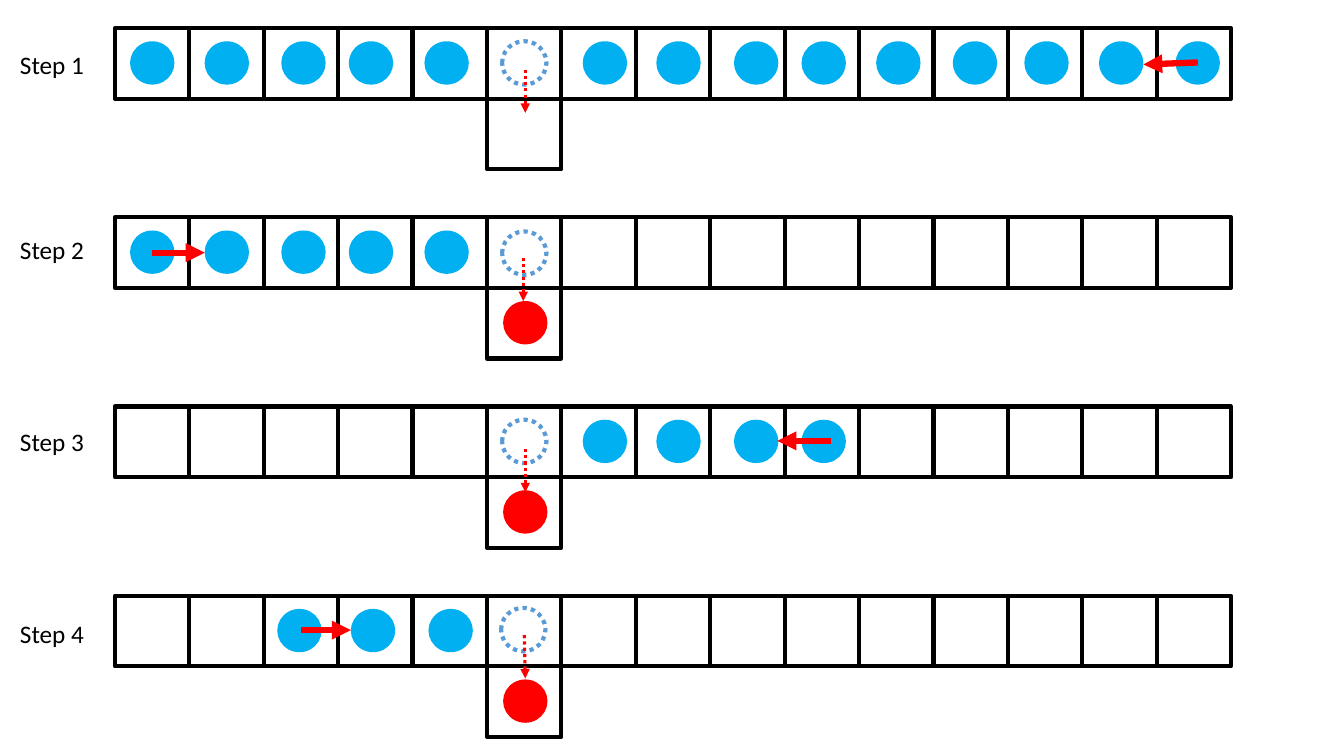
from pptx import Presentation
from pptx.dml.color import RGBColor as Rgb
from pptx.enum.dml import MSO_LINE
from pptx.enum.shapes import MSO_CONNECTOR as Con, MSO_SHAPE as Kind
from pptx.enum.text import MSO_AUTO_SIZE as Fit
from pptx.oxml.ns import qn
from pptx.util import Inches, Pt
from lxml.etree import SubElement as Sub

HUE = {"black": "000000", "ball": "00B0F0", "red": "FF0000", "ring": "5B9BD5"}
LEFT, TOP, PITCH = 1.14, 0.28, 1.877
CELL, TALL, COUNT, EXIT = 0.738, 0.7, 15, 5
WIDE, HIGH = 0.44, 0.43
BOXES = [1, 2, 4, 5, 7, 8, 10, 11, 13]
SPOTS = [1.29, 2.03, 2.79, 3.46, 4.21, 4.98, 5.78, 6.51,
         7.28, 7.95, 8.69, 9.45, 10.16, 10.9, 11.66]

STEPS = [
    {"name": "Step 1", "balls": SPOTS[:5] + SPOTS[6:], "out": False,
     "push": (11.88, 0.34, 11.34, 0.36), "drop": (5.21, 0.41, 5.21), "ring": (4.98, 0.13), "text": 0.16},
    {"name": "Step 2", "balls": SPOTS[:5], "out": True,
     "push": (1.51, 0.35, 2.03, 0.35), "drop": (5.19, 0.4, 5.19), "ring": (4.98, 0.14), "text": 0.12},
    {"name": "Step 3", "balls": SPOTS[6:10], "out": True,
     "push": (8.24, 0.34, 7.71, 0.34), "drop": (5.21, 0.42, 5.21), "ring": (4.98, 0.13), "text": 0.15},
    {"name": "Step 4", "balls": [2.75, 3.48, 4.25], "out": True,
     "push": (2.99, 0.34, 3.48, 0.34), "drop": (5.2, 0.39, 5.21), "ring": (4.97, 0.12), "text": 0.17},
]

deck = Presentation()
deck.slide_width, deck.slide_height = Inches(13.33), Inches(7.5)
shapes = deck.slides.add_slide(deck.slide_layouts[6]).shapes


def stroke(line, hue, size, dots=False):
    line.color.rgb = Rgb.from_string(HUE[hue])
    line.width = Pt(size)
    if dots:
        line.dash_style = MSO_LINE.ROUND_DOT


def draw(kind, x, y, w, h, fill=None, line=None, dots=False):
    part = shapes.add_shape(kind, *map(Inches, (x, y, w, h)))
    part.shadow.inherit = False
    if fill:
        part.fill.solid()
        part.fill.fore_color.rgb = Rgb.from_string(HUE[fill])
    else:
        part.fill.background()
    if line:
        stroke(part.line, line, 3, dots)
    else:
        part.line.fill.background()


def arrow(x1, y1, x2, y2, size, dots=False):
    link = shapes.add_connector(Con.STRAIGHT, *map(Inches, (x1, y1, x2, y2)))
    stroke(link.line, "red", size, dots)
    Sub(link.line._get_or_add_ln(), qn("a:tailEnd"), type="triangle")
    Sub(link._element.spPr, qn("a:effectLst"))


def label(text, x, y):
    box = shapes.add_textbox(*map(Inches, (x, y, 0.84, 0.4)))
    frame = box.text_frame
    frame.word_wrap = False
    frame.auto_size = Fit.SHAPE_TO_FIT_TEXT
    para = frame.paragraphs[0]
    para.text = text
    para.font.name, para.font.size = "Calibri", Pt(18)
    para.font.color.rgb = Rgb.from_string(HUE["black"])


for row, step in enumerate(STEPS):
    top = TOP + row * PITCH
    draw(Kind.RECTANGLE, LEFT, top, COUNT * CELL, TALL, line="black")
    for col in BOXES:
        draw(Kind.RECTANGLE, LEFT + col * CELL, top, CELL, TALL, line="black")
    draw(Kind.RECTANGLE, LEFT + EXIT * CELL, top + TALL, CELL, TALL, line="black")
    for x in step["balls"]:
        draw(Kind.OVAL, x, top + 0.13, WIDE, HIGH, fill="ball")
    if step["out"]:
        draw(Kind.OVAL, 4.99, top + TALL + 0.13, WIDE, HIGH, fill="red")
    x1, y1, x2, y2 = step["push"]
    arrow(x1, top + y1, x2, top + y2, 4.5)
    label(step["name"], 0.1, top + step["text"])
    x, y = step["ring"]
    draw(Kind.OVAL, x, top + y, WIDE, HIGH, line="ring", dots=True)
    x1, y, x2 = step["drop"]
    arrow(x1, top + y, x2, top + y + HIGH, 2.25, dots=True)

deck.save("out.pptx")
